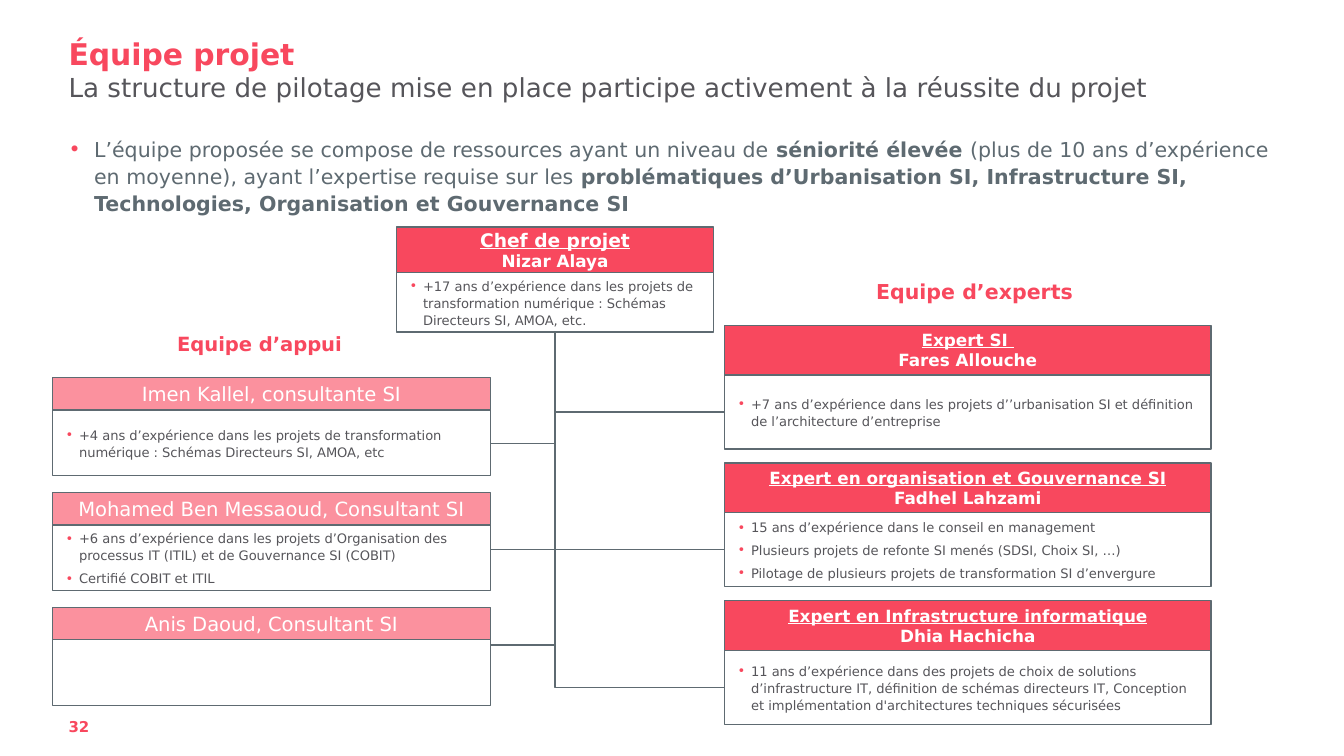
from lxml import etree
from pptx import Presentation, util as u
from pptx.dml.color import RGBColor
from pptx.enum import shapes, text
from pptx.oxml.ns import qn

COLORS = {"red": "F8485E", "pink": "FB919E", "slate": "5E6A71", "grey": "56555A", "white": "FFFFFF"}
FONT = "DejaVu Sans"
MARGIN, CONTENT_WIDTH = 0.51, 8.98
TRUNK_X = 4.13

presentation = Presentation()
presentation.slide_width = u.Inches(10)
presentation.slide_height = presentation.slide_width * 9 // 16
slide = presentation.slides.add_slide(presentation.slide_layouts[5])


def write(shape, lines, size, color, bold=False, bullet_indent=0, align=text.PP_ALIGN.LEFT,
          anchor=text.MSO_ANCHOR.TOP, insets=(0.1, 0.05, 0.1, 0.05)):
    """Fill a shape with paragraphs; a line may be a list of (words, bold) runs."""
    frame = shape.text_frame
    frame.word_wrap = True
    frame.auto_size = text.MSO_AUTO_SIZE.NONE
    frame.vertical_anchor = anchor
    frame.margin_left, frame.margin_top, frame.margin_right, frame.margin_bottom = map(u.Inches, insets)
    for index, line in enumerate(lines):
        paragraph = frame.paragraphs[0] if index == 0 else frame.add_paragraph()
        paragraph.alignment = align
        paragraph.space_before = u.Pt(3 if bullet_indent and index else 0)
        if bullet_indent:
            paragraph.line_spacing = 1.1
            properties = paragraph._p.get_or_add_pPr()
            properties.set("marL", str(u.Inches(bullet_indent)))
            properties.set("indent", str(-u.Inches(bullet_indent)))
            bullet_color = etree.SubElement(properties, qn("a:buClr"))
            etree.SubElement(bullet_color, qn("a:srgbClr"), val=COLORS["red"])
            etree.SubElement(properties, qn("a:buFont"), typeface=FONT)
            etree.SubElement(properties, qn("a:buChar"), char="•")
        for words, run_bold in [(line, None)] if isinstance(line, str) else line:
            run = paragraph.add_run()
            run.text = words
            if run_bold is not None:
                run.font.bold = run_bold
        paragraph.font.name, paragraph.font.size, paragraph.font.bold = FONT, u.Pt(size), bold
        paragraph.font.color.rgb = RGBColor.from_string(COLORS[color])


def add_box(left, top, width, height, fill):
    box = slide.shapes.add_shape(shapes.MSO_SHAPE.RECTANGLE, *map(u.Inches, (left, top, width, height)))
    box.shadow.inherit = False
    box.fill.solid()
    box.fill.fore_color.rgb = RGBColor.from_string(COLORS[fill])
    box.line.color.rgb = RGBColor.from_string(COLORS["slate"])
    box.line.width = u.Pt(0.75)
    return box


# Title, subtitle, introduction, team labels and page number
title = slide.shapes.title
title.left, title.top, title.width, title.height = map(u.Inches, (MARGIN, 0, CONTENT_WIDTH, 0.53))
write(title, ["Équipe projet"], 16, "red", bold=True, anchor=text.MSO_ANCHOR.BOTTOM, insets=(0, 0, 0, 0))

introduction = [
    ("L’équipe proposée se compose de ressources ayant un niveau de ", False),
    ("séniorité élevée ", True),
    ("(plus de 10 ans d’expérience en moyenne), ayant l’expertise requise sur les ", False),
    ("problématiques d’Urbanisation SI, Infrastructure SI, Technologies, Organisation et Gouvernance SI", True),
]
subtitle = "La structure de pilotage mise en place participe activement à la réussite du projet"
flush = {"insets": (0, 0, 0, 0)}
for position, line, size, color, options in [
    ((MARGIN, 0.53, CONTENT_WIDTH, 0.51), subtitle, 14, "grey", flush),
    ((MARGIN, 1, CONTENT_WIDTH, 0.71), introduction, 11, "slate", {**flush, "bullet_indent": 0.19}),
    ((6.42, 2.03, 1.84, 0.28), "Equipe d’experts", 11, "red", {"bold": True}),
    ((1.22, 2.42, 1.92, 0.28), "Equipe d’appui", 10.5, "red", {"bold": True}),
    ((MARGIN, 5.29, 0.71, 0.33), "32", 8, "red", {"bold": True, "insets": (0, 0.05, 0, 0)}),
]:
    write(slide.shapes.add_textbox(*map(u.Inches, position)), [line], size, color, **options)

# Team cards: a heading box above a box of bullets
chief = [(["Chef de projet", "Nizar Alaya"],
          ["+17 ans d’expérience dans les projets de transformation numérique : Schémas Directeurs SI, AMOA, etc."])]
experts = [
    (["Expert SI ", "Fares Allouche"],
     ["+7 ans d’expérience dans les projets d’’urbanisation SI et définition de l’architecture d’entreprise"]),
    (["Expert en organisation et Gouvernance SI", "Fadhel Lahzami"],
     ["15 ans d’expérience dans le conseil en management",
      "Plusieurs projets de refonte SI menés (SDSI, Choix SI, …)",
      "Pilotage de plusieurs projets de transformation SI d’envergure"]),
    (["Expert en Infrastructure informatique", "Dhia Hachicha"],
     ["11 ans d’expérience dans des projets de choix de solutions d’infrastructure IT, définition de schémas "
      "directeurs IT, Conception et implémentation d'architectures techniques sécurisées"]),
]
support = [
    (["Imen Kallel, consultante SI"],
     ["+4 ans d’expérience dans les projets de transformation numérique : Schémas Directeurs SI, AMOA, etc"]),
    (["Mohamed Ben Messaoud, Consultant SI"],
     ["+6 ans d’expérience dans les projets d’Organisation des processus IT (ITIL) et de Gouvernance SI (COBIT)",
      "Certifié COBIT et ITIL"]),
    (["Anis Daoud, Consultant SI"], []),
]
detail_boxes = []
for cards, left, top, width, heading_height, detail_height, last_top, fill, size in [
    (chief, 2.95, 1.69, 2.36, 0.34, 0.44, 1.69, "red", 10),
    (experts, 5.39, 2.42, 3.62, 0.37, 0.55, 4.47, "red", 9),
    (support, 0.39, 2.81, 3.26, 0.24, 0.49, 4.52, "pink", 10.5),
]:
    pitch = (last_top - top) / 2
    for row, (heading, details) in enumerate(cards):
        y = top + row * pitch
        heading_box = add_box(left, y, width, heading_height, fill)
        write(heading_box, heading, size, "white", bold=fill == "red", align=text.PP_ALIGN.CENTER,
              anchor=text.MSO_ANCHOR.MIDDLE, insets=[0.04] * 4)
        if len(heading) == 2:
            role, name = heading_box.text_frame.paragraphs
            role.font.underline = True
            name.font.size = u.Pt(9)
        detail_box = add_box(left, y + heading_height, width, detail_height, "white")
        write(detail_box, details, 7, "grey", bullet_indent=0.1, anchor=text.MSO_ANCHOR.MIDDLE)
        detail_boxes.append(detail_box)

# Elbows run level from each card to the trunk, then up to the project lead
chief_box, *expert_boxes = detail_boxes[:4]
branches = [(5.39, 3.07, expert_boxes[0]), (5.39, 4.09, expert_boxes[1]), (5.39, 5.11, expert_boxes[2]),
            (3.65, 3.3, None), (3.65, 4.09, None), (3.65, 4.8, None)]
for x, y, expert_box in branches:
    elbow = slide.shapes.add_connector(shapes.MSO_CONNECTOR.ELBOW, *map(u.Inches, (x, y, TRUNK_X, 2.47)))
    if expert_box is not None:
        elbow.begin_connect(expert_box, 1)
        elbow.end_connect(chief_box, 2)
    properties = elbow._element.spPr
    properties.find(qn("a:prstGeom")).set("prst", "bentConnector2")
    elbow.line.color.rgb = RGBColor.from_string(COLORS["slate"])
    elbow.line.width = u.Pt(0.75)
    etree.SubElement(properties, qn("a:effectLst"))

presentation.save("out.pptx")
